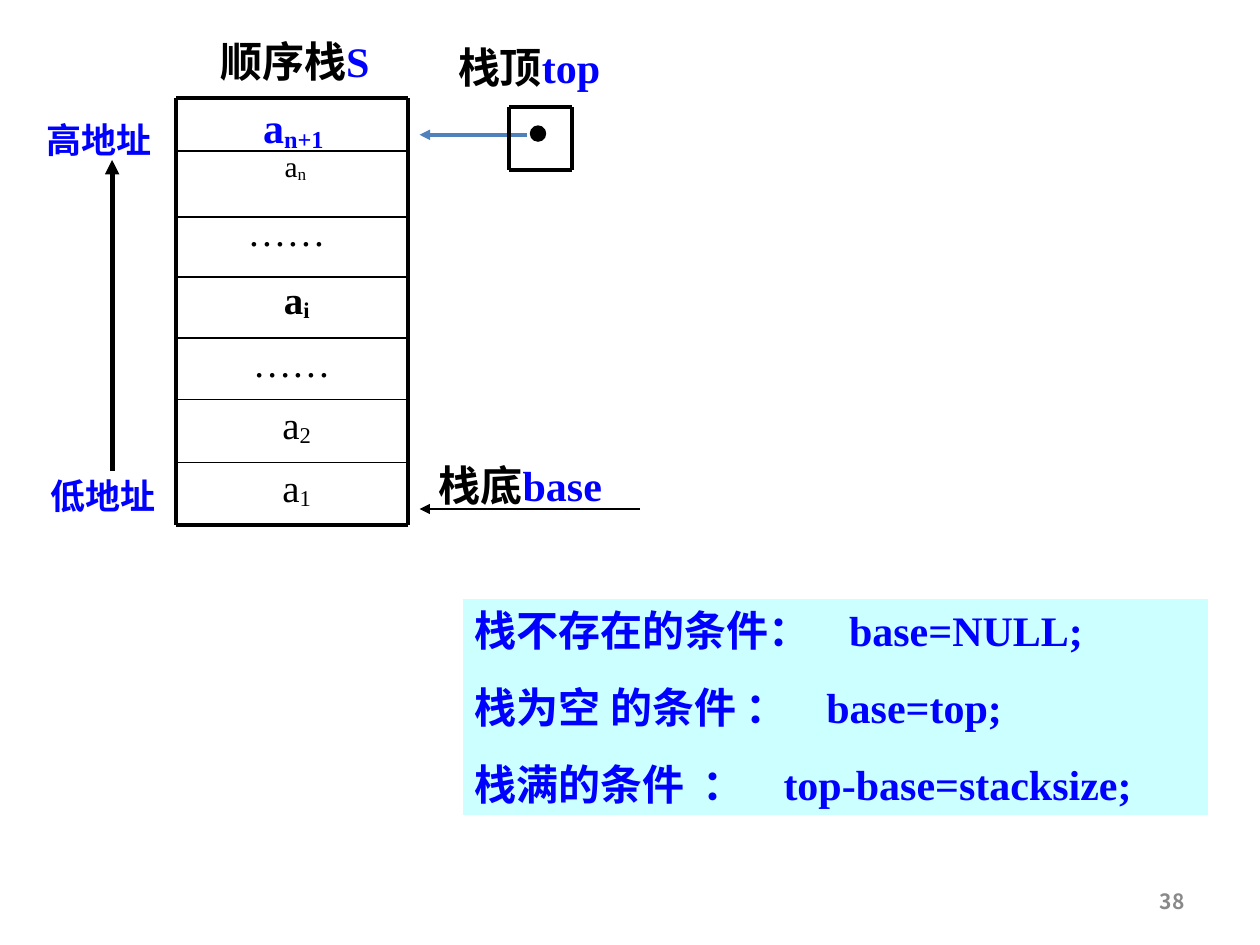
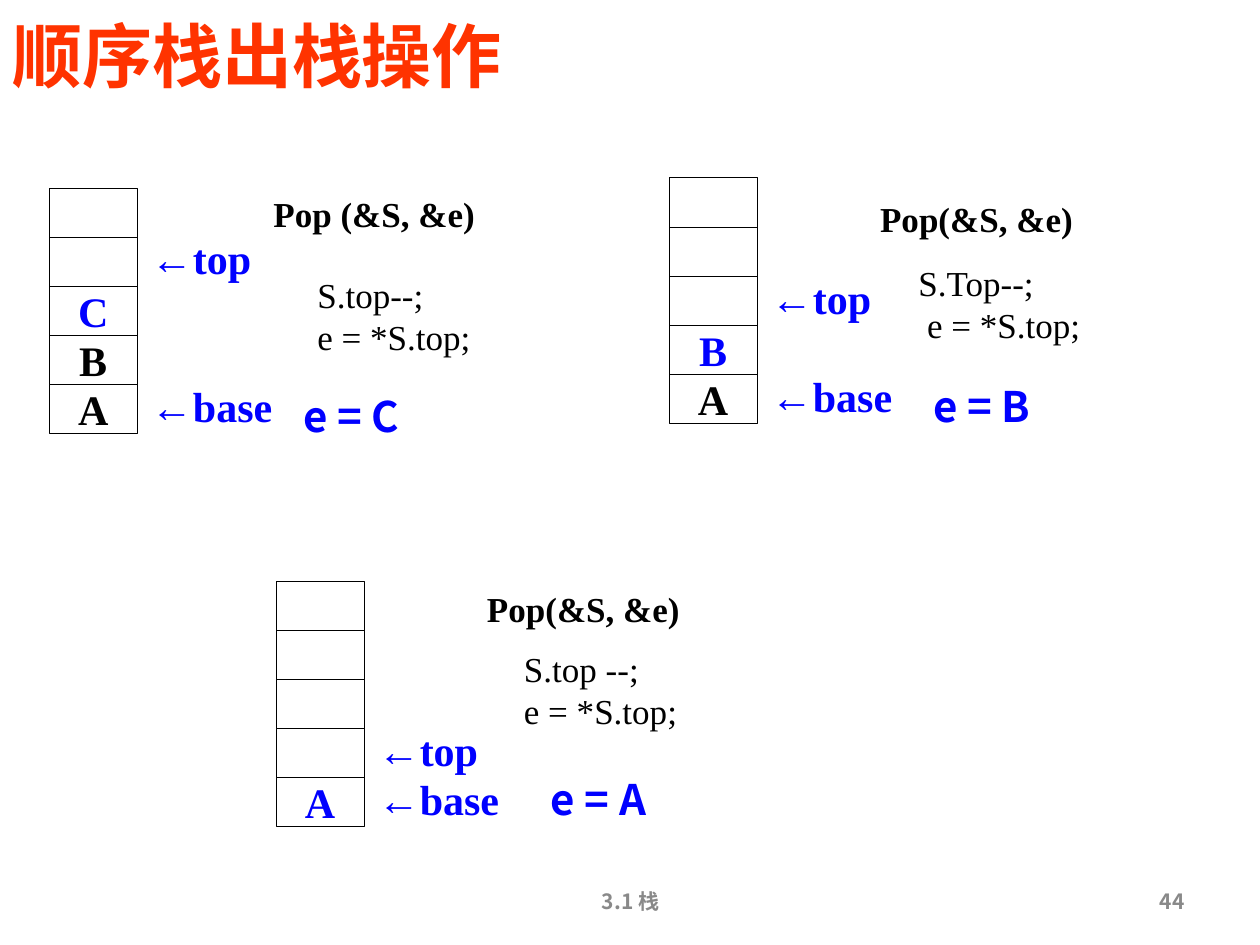
from dataclasses import dataclass
from typing import NamedTuple

from lxml.etree import SubElement
from pptx import Presentation
from pptx.dml.color import RGBColor
from pptx.enum.shapes import MSO_CONNECTOR, MSO_SHAPE
from pptx.enum.text import MSO_ANCHOR, PP_ALIGN
from pptx.oxml.ns import qn
from pptx.util import Pt

PX = 9144
COLORS = {
    "black": "000000",
    "white": "FFFFFF",
    "blue": "0000FF",
    "arrow": "4F81BD",
    "panel": "CCFFFF",
    "title": "FF3300",
    "footer": "898989",
}
SERIF, SANS, ARROW_FONT = "Times New Roman", "Noto Sans CJK SC", "Arial"
LEFT, CENTER, RIGHT = PP_ALIGN.LEFT, PP_ALIGN.CENTER, PP_ALIGN.RIGHT
TOP, MIDDLE = MSO_ANCHOR.TOP, MSO_ANCHOR.MIDDLE


@dataclass(frozen=True)
class Run:
    text: str
    color: str = "black"
    size: float = 24
    bold: bool = True
    font: str = SERIF
    sub: bool = False


@dataclass(frozen=True)
class Para:
    runs: tuple[Run, ...]
    align: PP_ALIGN = LEFT
    before: float = 0
    spacing: float = 1.0
    tabs: tuple[int, ...] = ()


@dataclass(frozen=True)
class Box:
    x: int
    y: int
    w: int
    h: int
    paras: tuple[Para, ...]
    anchor: MSO_ANCHOR = TOP
    wrap: bool = True


class Line(NamedTuple):
    x1: int
    y1: int
    x2: int
    y2: int
    width: float = 2.25
    color: str = "black"
    arrow: bool = False


class Entry(NamedTuple):
    x: int
    y: int
    name: str
    index: str = ""
    size: float = 22.2
    bold: bool = False
    spacing: float = 0.9


class PopStep(NamedTuple):
    x: int
    y: int
    letters: str
    call: str
    call_at: tuple[int, int]
    code: tuple[str, str]
    code_at: tuple[int, int]
    result_at: tuple[int, int]


def rgb(name: str) -> RGBColor:
    return RGBColor.from_string(COLORS[name])


def one(*runs: Run, align: PP_ALIGN = LEFT) -> tuple[Para, ...]:
    return (Para(runs, align),)


def add_run(p, run: Run) -> None:
    r = p.add_run()
    r.text = run.text
    fmt = {"size": Pt(run.size), "bold": run.bold, "name": run.font}
    for key, value in fmt.items():
        setattr(r.font, key, value)
    r.font.color.rgb = rgb(run.color)
    rPr = r._r.get_or_add_rPr()
    ea = ARROW_FONT if run.font == ARROW_FONT else SANS
    SubElement(rPr, qn("a:ea"), typeface=ea)
    if run.sub:
        rPr.set("baseline", "-10000")


def fill_text(tf, paras: tuple[Para, ...], anchor: MSO_ANCHOR, wrap: bool) -> None:
    frame = {
        "margin_left": 10 * PX, "margin_right": 10 * PX,
        "margin_top": 5 * PX, "margin_bottom": 5 * PX,
        "vertical_anchor": anchor, "word_wrap": wrap,
    }
    for key, value in frame.items():
        setattr(tf, key, value)
    for i, para in enumerate(paras):
        p = tf.add_paragraph() if i else tf.paragraphs[0]
        fmt = {"alignment": para.align, "line_spacing": para.spacing,
               "space_before": Pt(para.before if i else 0)}
        for key, value in fmt.items():
            setattr(p, key, value)
        if para.tabs:
            tab_list = SubElement(p._p.get_or_add_pPr(), qn("a:tabLst"))
            for pos in para.tabs:
                SubElement(tab_list, qn("a:tab"), pos=str(pos * PX), algn="l")
        for run in para.runs:
            add_run(p, run)


def draw_box(s, box: Box) -> None:
    sp = s.shapes.add_textbox(box.x * PX, box.y * PX, box.w * PX, box.h * PX)
    fill_text(sp.text_frame, box.paras, box.anchor, box.wrap)


def draw_shape(s, kind: MSO_SHAPE, x: int, y: int, w: int, h: int,
               fill: str, line: str, width: float):
    sp = s.shapes.add_shape(kind, x * PX, y * PX, w * PX, h * PX)
    sp.shadow.inherit = False
    sp.fill.solid()
    sp.fill.fore_color.rgb = rgb(fill)
    sp.line.color.rgb = rgb(line)
    sp.line.width = Pt(width)
    return sp


def draw_line(s, line: Line) -> None:
    cx = s.shapes.add_connector(MSO_CONNECTOR.STRAIGHT, line.x1 * PX, line.y1 * PX,
                                line.x2 * PX, line.y2 * PX)
    cx.line.color.rgb = rgb(line.color)
    cx.line.width = Pt(line.width)
    if line.arrow:
        SubElement(cx.line._get_or_add_ln(), qn("a:tailEnd"), type="triangle")
    SubElement(cx._element.spPr, qn("a:effectLst"))


def draw_frame(s, x1: int, y1: int, x2: int, y2: int) -> None:
    for ends in ((x1, y1, x2, y1), (x1, y2, x2, y2), (x1, y1, x1, y2), (x2, y1, x2, y2)):
        draw_line(s, Line(*ends))


def draw_footer(s, text: str, x: int, w: int, align: PP_ALIGN) -> None:
    run = Run(text, "footer", 12, True, SANS)
    draw_box(s, Box(x, 695, w, 40, one(run, align=align), MIDDLE))


def draw_number(s, number: int) -> None:
    draw_footer(s, str(number), 717, 233, RIGHT)


def draw_conditions(s) -> None:
    rows = (
        ("栈不存在的条件：\tbase=NULL;", (297,)),
        ("栈为空 的条件 ：\tbase=top;", (279,)),
        ("栈满的条件\t：\ttop-base=stacksize;", (181, 245)),
    )
    sp = draw_shape(s, MSO_SHAPE.RECTANGLE, 367, 475, 592, 172, "panel", "white", 0.75)
    paras = tuple(Para((Run(text, "blue"),), before=15, tabs=tabs) for text, tabs in rows)
    fill_text(sp.text_frame, paras, TOP, True)


def draw_sequential_stack(s) -> None:
    left, right, top, bottom = 140, 324, 78, 417
    draw_frame(s, left, top, right, bottom)
    for y in (120, 172, 220, 268, 317, 367):
        draw_line(s, Line(left, y, right, y, 1))
    entries = (
        Entry(143, 118, "a", "n", 16.8, spacing=0.8),
        Entry(136, 164, "……"),
        Entry(144, 218, "a", "i", bold=True),
        Entry(140, 268, "……"),
        Entry(144, 317, "a", "2"),
        Entry(144, 367, "a", "1"),
    )
    for e in entries:
        runs = [Run(e.name, size=e.size, bold=e.bold)]
        if e.index:
            runs.append(Run(e.index, size=e.size, bold=e.bold, sub=True))
        draw_box(s, Box(e.x, e.y, 183, 50, (Para(tuple(runs), CENTER, spacing=e.spacing),)))
    draw_box(s, Box(199, 76, 81, 51, one(Run("a", "blue"), Run("n+1", "blue", sub=True))))


def draw_pointers(s) -> None:
    names = (
        ("顺序栈", "S", 144, 23),
        ("栈顶", "top", 330, 28),
        ("栈底", "base", 323, 360),
    )
    for chinese, symbol, x, y in names:
        paras = one(Run(chinese), Run(symbol, "blue"), align=CENTER)
        draw_box(s, Box(x, y, 180, 50, paras, MIDDLE))
    for text, x, y in (("高地址", 25, 89), ("低地址", 28, 371)):
        paras = one(Run(text, "blue", 20), align=CENTER)
        draw_box(s, Box(x, y, 107, 44, paras, MIDDLE))
    arrows = (
        Line(89, 374, 89, 127, 2.75, arrow=True),
        Line(508, 404, 333, 404, 0.75, arrow=True),
        Line(418, 107, 333, 107, 2, "arrow", True),
    )
    for arrow in arrows:
        draw_line(s, arrow)
    draw_frame(s, 404, 85, 454, 135)
    draw_shape(s, MSO_SHAPE.OVAL, 421, 100, 12, 12, "black", "black", 0.75)


def draw_pop_step(s, step: PopStep) -> None:
    cells, pitch = 5, 39
    rows = [step.y + pitch * i for i in range(cells)]
    for i, y in enumerate(reversed(rows)):
        sp = draw_shape(s, MSO_SHAPE.RECTANGLE, step.x, y, 70, pitch, "white", "black", 0.25)
        if i < len(step.letters):
            color = "blue" if i == len(step.letters) - 1 else "black"
            paras = one(Run(step.letters[i], color), align=CENTER)
            fill_text(sp.text_frame, paras, MIDDLE, True)
    for name, row in (("top", cells - 1 - len(step.letters)), ("base", cells - 1)):
        paras = one(Run("←", "blue", font=ARROW_FONT), Run(name, "blue"))
        draw_box(s, Box(step.x + 71, rows[row] - 8, 116, 50, paras, wrap=False))
    call = one(Run(step.call, size=20), align=CENTER)
    draw_box(s, Box(*step.call_at, 182, 44, call, wrap=False))
    code = tuple(Para((Run(text, size=20, bold=False),)) for text in step.code)
    draw_box(s, Box(*step.code_at, 188, 77, code))
    result = one(Run(f"e = {step.letters[-1]}", "blue", font=SANS), align=CENTER)
    draw_box(s, Box(*step.result_at, 98, 50, result, wrap=False))


def build_structure_slide(s) -> None:
    draw_conditions(s)
    draw_sequential_stack(s)
    draw_pointers(s)
    draw_number(s, 38)


def build_pop_slide(s) -> None:
    title = one(Run("顺序栈出栈操作", "title", 40, True, SANS))
    draw_box(s, Box(0, 0, 477, 86, title, MIDDLE))
    draw_footer(s, "3.1 栈", 342, 317, CENTER)
    draw_number(s, 44)
    steps = (
        PopStep(39, 149, "ABC", "Pop (&S, &e)", (206, 148),
                ("S.top--;", "e = *S.top;"), (242, 212), (230, 305)),
        PopStep(531, 141, "AB", "Pop(&S, &e)", (684, 152),
                ("S.Top--;", " e = *S.top;"), (719, 203), (730, 297)),
        PopStep(219, 461, "A", "Pop(&S, &e)", (372, 461),
                ("S.top --;", "e = *S.top;"), (406, 509), (426, 609)),
    )
    for step in steps:
        draw_pop_step(s, step)


def main() -> None:
    prs = Presentation()
    prs.slide_width, prs.slide_height = 1000 * PX, 750 * PX
    for build in (build_structure_slide, build_pop_slide):
        build(prs.slides.add_slide(prs.slide_layouts[6]))
    prs.save("out.pptx")


if __name__ == "__main__":
    main()
